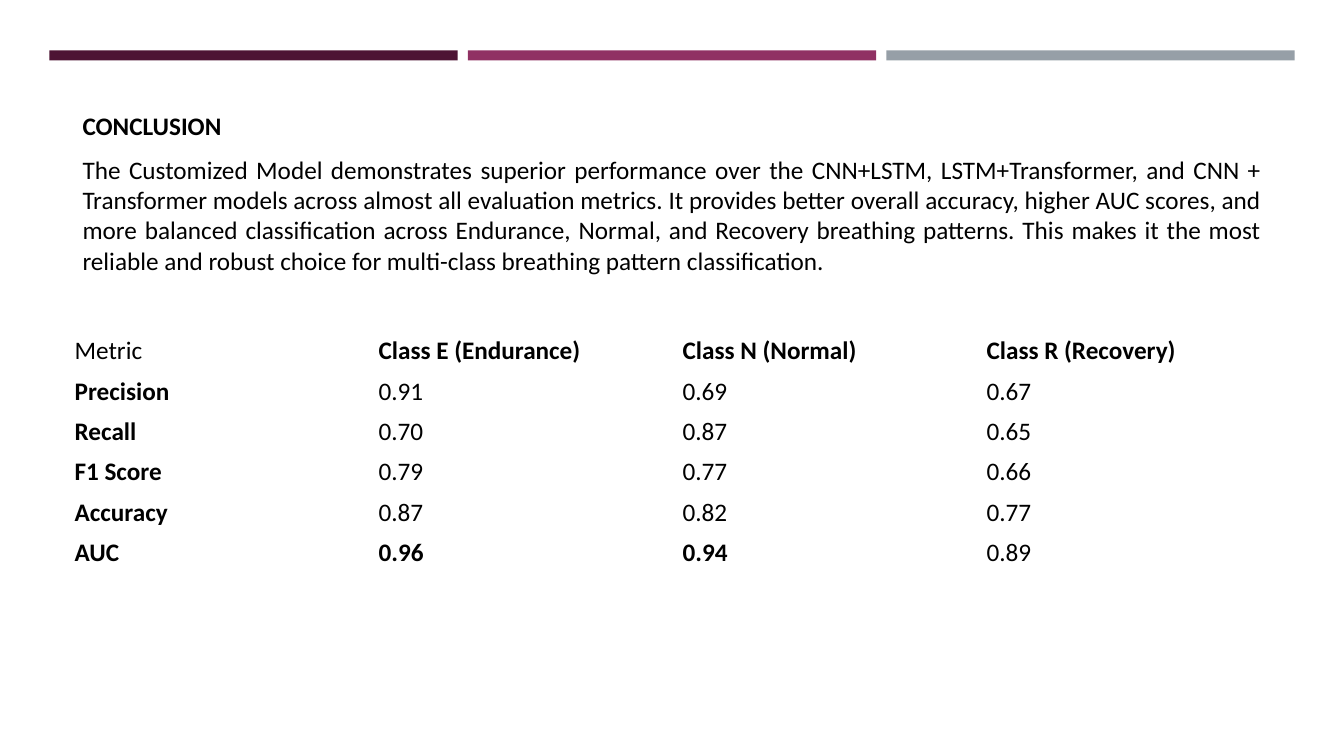
from pptx import Presentation
from pptx.dml.color import RGBColor
from pptx.enum.shapes import MSO_SHAPE
from pptx.enum.text import MSO_ANCHOR, PP_ALIGN
from pptx.util import Inches, Pt

RECTANGLE = MSO_SHAPE.RECTANGLE
MIDDLE = MSO_ANCHOR.MIDDLE
LEFT, JUSTIFY = PP_ALIGN.LEFT, PP_ALIGN.JUSTIFY

COLORS = {"plum": "4D1434", "magenta": "903163", "slate": "969FA7", "text": "000000"}
FONT_NAME, FONT_SIZE = "Calibri", 18

CONCLUSION = (
    "The Customized Model demonstrates superior performance over the CNN+LSTM, "
    "LSTM+Transformer, and CNN + Transformer models across almost all evaluation metrics. "
    "It provides better overall accuracy, higher AUC scores, and more balanced "
    "classification across Endurance, Normal, and Recovery breathing patterns. This makes "
    "it the most reliable and robust choice for multi-class breathing pattern classification."
)
METRICS = [
    ["Metric", "Class E (Endurance)", "Class N (Normal)", "Class R (Recovery)"],
    ["Precision", "0.91", "0.69", "0.67"],
    ["Recall", "0.70", "0.87", "0.65"],
    ["F1 Score", "0.79", "0.77", "0.66"],
    ["Accuracy", "0.87", "0.82", "0.77"],
    ["AUC", "0.96", "0.94", "0.89"],
]
BEST_SCORES = {"0.96", "0.94"}


def style_paragraph(para, text, bold=False, align=LEFT):
    """Fill a paragraph with text in the slide's body font."""
    para.text = text
    para.alignment = align
    para.font.name = FONT_NAME
    para.font.size = Pt(FONT_SIZE)
    para.font.bold = bold
    para.font.color.rgb = RGBColor.from_string(COLORS["text"])


def add_top_bars(slide, box, gap=0.1):
    """Split the box into three coloured bars with equal gaps."""
    left, top, width, height = box
    names = ("plum", "magenta", "slate")
    bar_width = (width - gap * (len(names) - 1)) / len(names)
    for index, name in enumerate(names):
        bar = slide.shapes.add_shape(
            RECTANGLE, Inches(left + index * (bar_width + gap)), Inches(top),
            Inches(bar_width), Inches(height))
        bar.shadow.inherit = False
        bar.fill.solid()
        bar.fill.fore_color.rgb = RGBColor.from_string(COLORS[name])
        bar.line.fill.background()


def add_text(slide, box, text, bold=False, align=LEFT):
    """Place one wrapped paragraph in the box."""
    frame = slide.shapes.add_textbox(*map(Inches, box)).text_frame
    frame.word_wrap = True
    style_paragraph(frame.paragraphs[0], text, bold, align)


def add_metrics_table(slide, box):
    """Place the unfilled table of scores per class in the box."""
    table = slide.shapes.add_table(len(METRICS), len(METRICS[0]), *map(Inches, box)).table
    table.first_row = False
    table.horz_banding = False
    for row, values in enumerate(METRICS):
        for column, value in enumerate(values):
            cell = table.cell(row, column)
            cell.fill.background()
            cell.vertical_anchor = MIDDLE
            is_label = (row == 0) != (column == 0)
            style_paragraph(cell.text_frame.paragraphs[0], value,
                            is_label or value in BEST_SCORES)


def add_conclusion_slide(deck):
    """Build the conclusion slide from its bars, texts and table."""
    slide = deck.slides.add_slide(deck.slide_layouts[6])
    add_top_bars(slide, (0.49, 0.5, 12.35, 0.1))
    add_text(slide, (0.72, 1.05, 8.82, 0.4), "CONCLUSION", bold=True)
    add_text(slide, (0.72, 1.48, 11.89, 1.31), CONCLUSION, align=JUSTIFY)
    add_metrics_table(slide, (0.64, 3.28, 12.06, 2.4))


def main():
    """Create the deck and save it."""
    deck = Presentation()
    deck.slide_width, deck.slide_height = Inches(13.33), Inches(7.5)
    add_conclusion_slide(deck)
    deck.save("out.pptx")


if __name__ == "__main__":
    main()
